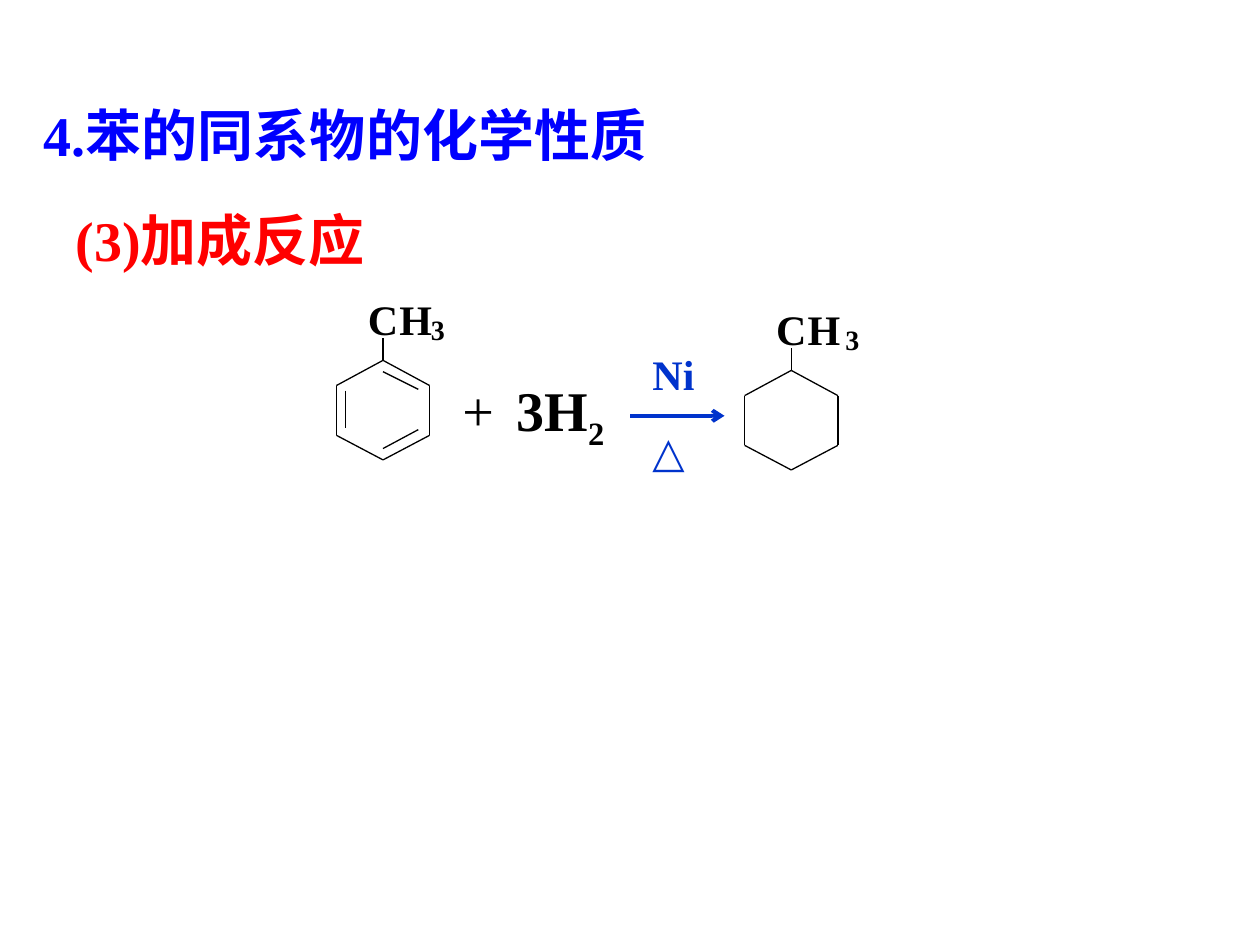
from lxml.etree import SubElement
from pptx import Presentation
from pptx.dml.color import RGBColor as RGB
from pptx.enum.shapes import MSO_CONNECTOR as CONN
from pptx.enum.text import MSO_ANCHOR as ANCHOR
from pptx.oxml.ns import qn
from pptx.util import Inches, Pt

COLS, ROWS = 100, 75
COLORS = {"title": "0000FF", "heading": "FF0000", "ink": "000000", "condition": "0033CC"}
HEXAGON = [(0, -4), (3.7, -2), (3.7, 1.95), (0, 3.9), (-3.7, 1.95), (-3.7, -2)]
DOUBLE_BONDS = [((-3, -1.6), (-3, 1.4)), ((0, 3), (2.8, 1.5)), ((2.8, -1.7), (0, -3.1))]
PADDING = (Inches(0.1), Inches(0.05))


def grid(prs, *cells):
    """Turn alternating column and row counts into slide lengths."""
    units = (prs.slide_width / COLS, prs.slide_height / ROWS)
    return [round(n * units[i % 2]) for i, n in enumerate(cells)]


def add_text(prs, s, box, paragraphs, size, color="ink", bold=True, padding=(0, 0), gap=0):
    """Add a text box; each paragraph is a list of (text, baseline) runs."""
    tf = s.shapes.add_textbox(*grid(prs, *box)).text_frame
    frame = {"word_wrap": True, "vertical_anchor": ANCHOR.TOP,
             "margin_left": padding[0], "margin_right": padding[0],
             "margin_top": padding[1], "margin_bottom": padding[1]}
    for name, value in frame.items():
        setattr(tf, name, value)
    for i, runs in enumerate(paragraphs):
        p = tf.add_paragraph() if i else tf.paragraphs[0]
        if i:
            p.space_before = Pt(gap)
        for text, baseline in runs:
            r = p.add_run()
            r.text = text
            for name, value in {"name": "Times New Roman", "size": Pt(size), "bold": bold}.items():
                setattr(r.font, name, value)
            r.font.color.rgb = RGB.from_string(COLORS[color])
            if baseline:
                r.font._element.set("baseline", str(baseline * 1000))


def add_line(prs, s, start, end, color="ink", width=0.75, arrow=False):
    """Add a straight line, with an open arrowhead on request."""
    c = s.shapes.add_connector(CONN.STRAIGHT, *grid(prs, *start, *end))
    c.line.color.rgb = RGB.from_string(COLORS[color])
    c.line.width = Pt(width)
    if arrow:
        SubElement(c.line._get_or_add_ln(), qn("a:tailEnd"), type="arrow")
    SubElement(c._element.spPr, qn("a:effectLst"))


def add_molecule(prs, s, x, y, digit_x, double_bonds=()):
    """Draw a six-membered ring around (x, y) with a methyl group on top."""
    ring = list(zip(HEXAGON, HEXAGON[1:] + HEXAGON[:1]))
    methyl_bond = (HEXAGON[0], (0, -5.8))
    for (x1, y1), (x2, y2) in [*ring, methyl_bond, *double_bonds]:
        add_line(prs, s, (x + x1, y + y1), (x + x2, y + y2))
    for text, dx, dy, size in [("C", -1.2, -9.3, 24), ("H", 1.3, -9.3, 24), ("3", digit_x, -7.8, 16)]:
        add_text(prs, s, (x + dx, y + dy, 4, size / 6), [[(text, 0)]], size)


def main():
    """Build the slide on the addition reaction of toluene."""
    prs = Presentation()
    prs.slide_width, prs.slide_height = Inches(10), Inches(7.5)
    s = prs.slides.add_slide(prs.slide_layouts[6])
    add_text(prs, s, (2.5, 7.5, 55, 6.4), [[("4.苯的同系物的化学性质", 0)]], 32, "title", padding=PADDING)
    add_text(prs, s, (5, 15.8, 33.3, 6.4), [[("(3)加成反应", 0)]], 32, "heading", padding=PADDING)
    add_molecule(prs, s, 30.4, 32.6, 3.8, DOUBLE_BONDS)
    add_text(prs, s, (36.7, 29.8, 4, 5.3), [[("+", 0)]], 32, bold=False)
    add_text(prs, s, (41, 29.8, 8, 6.1), [[("3H", 0), ("2", -25)]], 32)
    add_text(prs, s, (50.8, 27.2, 11.7, 11.1), [[("Ni", 0)], [("△", 0)]], 24, "condition",
             padding=PADDING, gap=15)
    add_line(prs, s, (50, 33), (57.5, 33), "condition", 2.25, arrow=True)
    add_molecule(prs, s, 62.8, 33.4, 4.3)
    prs.save("out.pptx")


if __name__ == "__main__":
    main()
